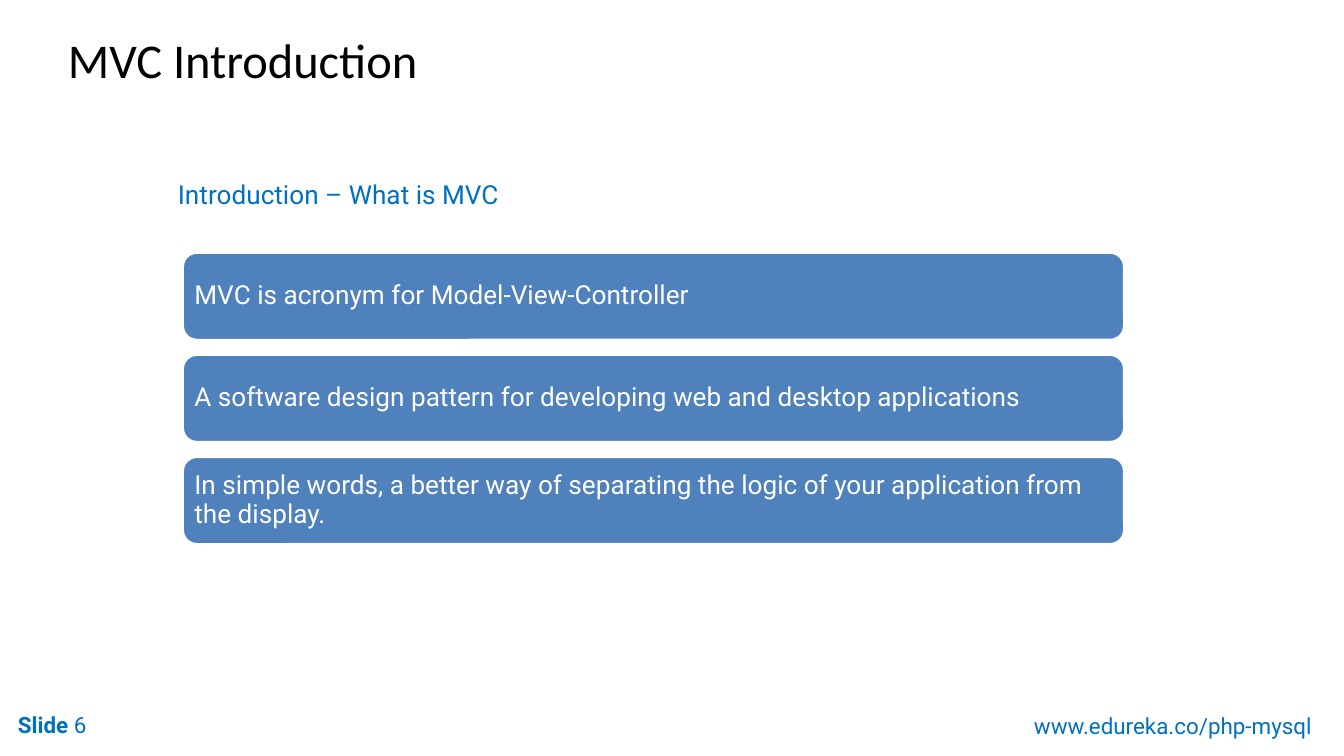
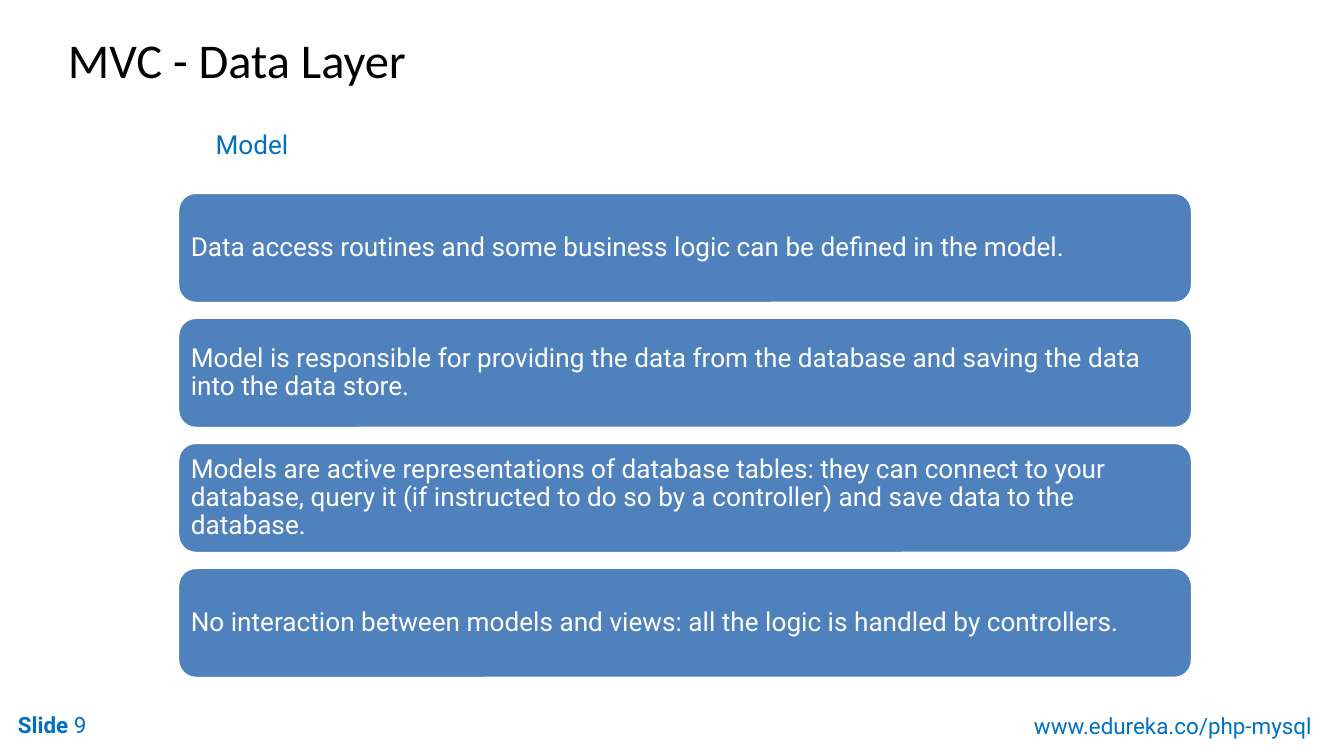
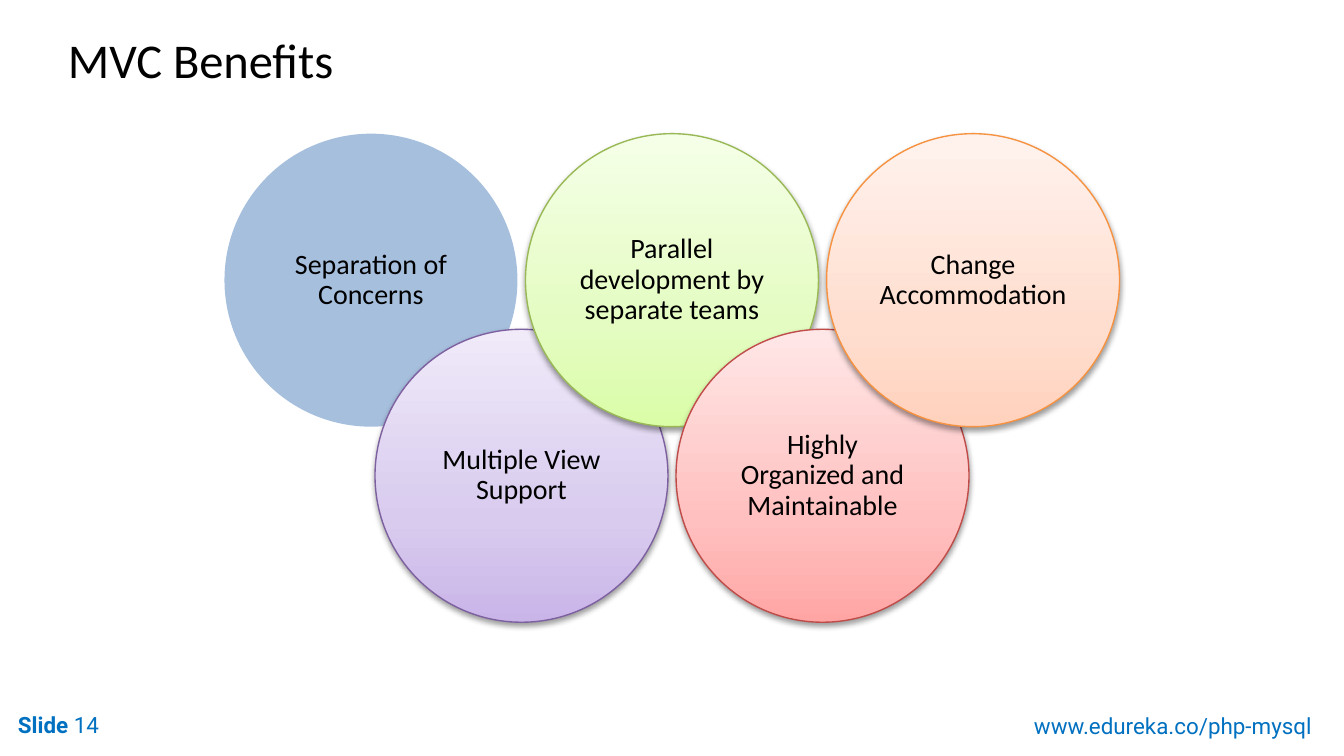
import dataclasses
import typing

import lxml.etree
import pptx
import pptx.dml.color
import pptx.enum.shapes
import pptx.enum.text
import pptx.oxml.ns
import pptx.presentation
import pptx.shapes.autoshape
import pptx.slide
import pptx.text.text
import pptx.util

PX = 4572
PAGE_WIDTH, PAGE_HEIGHT = 2000, 1125
TITLE_ONLY = 5

WHITE = pptx.dml.color.RGBColor(0xFF, 0xFF, 0xFF)
BLACK = pptx.dml.color.RGBColor(0x00, 0x00, 0x00)
LINK_BLUE = pptx.dml.color.RGBColor(0x00, 0x70, 0xC0)
BAND_BLUE = pptx.dml.color.RGBColor(0x4F, 0x81, 0xBD)
PURPLE = pptx.dml.color.RGBColor(0x7D, 0x60, 0xA0)
PURPLE_TINTS = (
    pptx.dml.color.RGBColor(0xC9, 0xB5, 0xE8),
    pptx.dml.color.RGBColor(0xD8, 0xCB, 0xEE),
    pptx.dml.color.RGBColor(0xF0, 0xEA, 0xF9),
)
GREEN = pptx.dml.color.RGBColor(0x98, 0xB9, 0x55)
GREEN_TINTS = (
    pptx.dml.color.RGBColor(0xDA, 0xFD, 0xA7),
    pptx.dml.color.RGBColor(0xE4, 0xFC, 0xC2),
    pptx.dml.color.RGBColor(0xF5, 0xFF, 0xE7),
)
RED = pptx.dml.color.RGBColor(0xBF, 0x4C, 0x48)
RED_TINTS = (
    pptx.dml.color.RGBColor(0xFF, 0xA6, 0xA5),
    pptx.dml.color.RGBColor(0xFF, 0xC0, 0xBF),
    pptx.dml.color.RGBColor(0xFF, 0xE7, 0xE7),
)
ORANGE = pptx.dml.color.RGBColor(0xF6, 0x92, 0x40)
ORANGE_TINTS = (
    pptx.dml.color.RGBColor(0xFF, 0xD2, 0xBD),
    pptx.dml.color.RGBColor(0xFF, 0xDE, 0xD0),
    pptx.dml.color.RGBColor(0xFF, 0xF2, 0xED),
)
TINT_STOPS = (0, 35, 100)

BAND_GAP = 20
SHAPE_INSET = 12
CIRCLE_SIZE = 436
CIRCLE_STEP = 224
CIRCLE_LEFT = 334
CIRCLE_TOPS = (199, 490)


class Frame(typing.NamedTuple):
    left: int
    top: int
    width: int
    height: int

    def emu(self) -> list[pptx.util.Emu]:
        return [pptx.util.Emu(length * PX) for length in self]


class TextStyle(typing.NamedTuple):
    font: str
    size: int
    color: pptx.dml.color.RGBColor
    bold: bool = False


@dataclasses.dataclass(frozen=True)
class BandStack:
    heading: str
    heading_frame: Frame
    first_band: Frame
    sentences: tuple[str, ...]


@dataclasses.dataclass(frozen=True)
class Benefit:
    label: str
    outline: pptx.dml.color.RGBColor | None = None
    tints: tuple[pptx.dml.color.RGBColor, ...] = ()


TITLE_STYLE = TextStyle("Calibri", 26, BLACK)
HEADING_STYLE = TextStyle("Roboto", 14, LINK_BLUE)
BAND_STYLE = TextStyle("Roboto", 14, WHITE)
CIRCLE_STYLE = TextStyle("Calibri", 15, BLACK)
FOOTER_STYLE = TextStyle("Roboto", 12, LINK_BLUE)
FOOTER_BOLD = FOOTER_STYLE._replace(bold=True)

TITLE_FRAME = Frame(82, 44, 1360, 88)
TITLE_INDENT = 19
NUMBER_FRAME = Frame(7, 1049, 316, 60)
ADDRESS_FRAME = Frame(1519, 1050, 456, 60)

INTRODUCTION = BandStack(
    "Introduction – What is MVC",
    Frame(245, 256, 562, 68),
    Frame(271, 375, 1403, 132),
    (
        "MVC is acronym for Model-View-Controller",
        "A software design pattern for developing web and desktop applications",
        "In simple words, a better way of separating the logic of your application from the display.",
    ),
)
DATA_LAYER = BandStack(
    "Model",
    Frame(301, 182, 562, 68),
    Frame(264, 286, 1511, 166),
    (
        "Data access routines and some business logic can be defined in the model.",
        "Model is responsible for providing the data from the database and saving the data into the data store.",
        "Models are active representations of database tables: they can connect to your database, "
        "query it (if instructed to do so by a controller) and save data to the database.",
        "No interaction between models and views: all the logic is handled by controllers.",
    ),
)
BENEFITS = (
    Benefit("Separation of Concerns"),
    Benefit("Multiple View Support", PURPLE, PURPLE_TINTS),
    Benefit("Parallel development by separate teams", GREEN, GREEN_TINTS),
    Benefit("Highly Organized and Maintainable", RED, RED_TINTS),
    Benefit("Change Accommodation", ORANGE, ORANGE_TINTS),
)


def add_child(parent: typing.Any, tag: str, **attributes: typing.Any) -> typing.Any:
    values = {name: str(value) for name, value in attributes.items()}
    return lxml.etree.SubElement(parent, pptx.oxml.ns.qn(tag), values)


def add_span(para: pptx.text.text._Paragraph, text: str, style: TextStyle) -> pptx.text.text._Run:
    span = para.add_run()
    span.text = text
    span.font.name = style.font
    span.font.size = pptx.util.Pt(style.size)
    span.font.bold = style.bold
    span.font.color.rgb = style.color
    return span


def set_margins(frame: pptx.text.text.TextFrame, inset: int) -> None:
    margin = pptx.util.Emu(inset * PX)
    frame.margin_left = frame.margin_right = margin
    frame.margin_top = frame.margin_bottom = margin


def add_text_box(
    page: pptx.slide.Slide, place: Frame, spans: list[tuple[str, TextStyle]], wrap: bool = True
) -> None:
    box = page.shapes.add_textbox(*place.emu())
    box.text_frame.word_wrap = wrap
    box.text_frame.auto_size = pptx.enum.text.MSO_AUTO_SIZE.SHAPE_TO_FIT_TEXT
    for text, style in spans:
        add_span(box.text_frame.paragraphs[0], text, style)


def add_labelled_shape(
    page: pptx.slide.Slide,
    kind: pptx.enum.shapes.MSO_SHAPE,
    place: Frame,
    text: str,
    style: TextStyle,
    align: pptx.enum.text.PP_ALIGN,
) -> pptx.shapes.autoshape.Shape:
    shape = page.shapes.add_shape(kind, *place.emu())
    shape.shadow.inherit = False
    frame = shape.text_frame
    frame.word_wrap = True
    frame.vertical_anchor = pptx.enum.text.MSO_ANCHOR.MIDDLE
    set_margins(frame, SHAPE_INSET)
    para = frame.paragraphs[0]
    para.alignment = align
    para.line_spacing = 0.9
    add_span(para, text, style)
    return shape


def fill_solid(shape: pptx.shapes.autoshape.Shape, color: pptx.dml.color.RGBColor) -> None:
    shape.fill.solid()
    shape.fill.fore_color.rgb = color


def fill_tints(
    shape: pptx.shapes.autoshape.Shape, tints: tuple[pptx.dml.color.RGBColor, ...]
) -> None:
    shape.fill.gradient()
    shape.fill.gradient_angle = 90
    stops = shape._element.spPr.find(".//" + pptx.oxml.ns.qn("a:gsLst"))
    for stop in list(stops):
        stops.remove(stop)
    for percent, tint in zip(TINT_STOPS, tints):
        stop = add_child(stops, "a:gs", pos=percent * 1000)
        add_child(stop, "a:srgbClr", val=tint)


def add_shadow(shape: pptx.shapes.autoshape.Shape) -> None:
    effects = shape._element.spPr.find(pptx.oxml.ns.qn("a:effectLst"))
    shadow = add_child(
        effects, "a:outerShdw", blurRad=40000, dist=20000, dir=5400000, rotWithShape=0
    )
    color = add_child(shadow, "a:srgbClr", val=BLACK)
    add_child(color, "a:alpha", val=38000)


def add_page(deck: pptx.presentation.Presentation, title: str, number: int) -> pptx.slide.Slide:
    page = deck.slides.add_slide(deck.slide_layouts[TITLE_ONLY])
    box = page.shapes.title
    box.left, box.top, box.width, box.height = TITLE_FRAME.emu()
    frame = box.text_frame
    frame.word_wrap = True
    frame.auto_size = pptx.enum.text.MSO_AUTO_SIZE.NONE
    frame.vertical_anchor = pptx.enum.text.MSO_ANCHOR.TOP
    set_margins(frame, 0)
    frame.margin_left = pptx.util.Emu(TITLE_INDENT * PX)
    para = frame.paragraphs[0]
    para.alignment = pptx.enum.text.PP_ALIGN.LEFT
    span = add_span(para, title, TITLE_STYLE)
    span._r.get_or_add_rPr().set("spc", "-5")

    add_text_box(page, NUMBER_FRAME, [("Slide ", FOOTER_BOLD), (str(number), FOOTER_STYLE)])
    add_text_box(page, ADDRESS_FRAME, [("www.edureka.co/php-mysql", FOOTER_STYLE)], wrap=False)
    return page


def add_bands(page: pptx.slide.Slide, stack: BandStack) -> None:
    add_text_box(page, stack.heading_frame, [(stack.heading, HEADING_STYLE)])
    first = stack.first_band
    for index, sentence in enumerate(stack.sentences):
        band = add_labelled_shape(
            page,
            pptx.enum.shapes.MSO_SHAPE.ROUNDED_RECTANGLE,
            first._replace(top=first.top + index * (first.height + BAND_GAP)),
            sentence,
            BAND_STYLE,
            pptx.enum.text.PP_ALIGN.LEFT,
        )
        fill_solid(band, BAND_BLUE)
        band.line.color.rgb = WHITE
        band.line.width = pptx.util.Pt(2)


def add_circles(page: pptx.slide.Slide, benefits: tuple[Benefit, ...]) -> None:
    for index, benefit in enumerate(benefits):
        left = CIRCLE_LEFT + index * CIRCLE_STEP
        circle = add_labelled_shape(
            page,
            pptx.enum.shapes.MSO_SHAPE.OVAL,
            Frame(left, CIRCLE_TOPS[index % 2], CIRCLE_SIZE, CIRCLE_SIZE),
            benefit.label,
            CIRCLE_STYLE,
            pptx.enum.text.PP_ALIGN.CENTER,
        )
        if benefit.outline is None:
            fill_solid(circle, BAND_BLUE)
            color = circle._element.spPr.find(".//" + pptx.oxml.ns.qn("a:srgbClr"))
            add_child(color, "a:alpha", val=50000)
            circle.line.fill.background()
        else:
            fill_tints(circle, benefit.tints)
            circle.line.color.rgb = benefit.outline
            circle.line.width = pptx.util.Pt(0.75)
            add_shadow(circle)


def main() -> None:
    deck = pptx.Presentation()
    deck.slide_width = pptx.util.Emu(PAGE_WIDTH * PX)
    deck.slide_height = pptx.util.Emu(PAGE_HEIGHT * PX)
    add_bands(add_page(deck, "MVC Introduction", 6), INTRODUCTION)
    add_bands(add_page(deck, "MVC - Data Layer", 9), DATA_LAYER)
    add_circles(add_page(deck, "MVC Benefits", 14), BENEFITS)
    deck.save("out.pptx")


if __name__ == "__main__":
    main()
